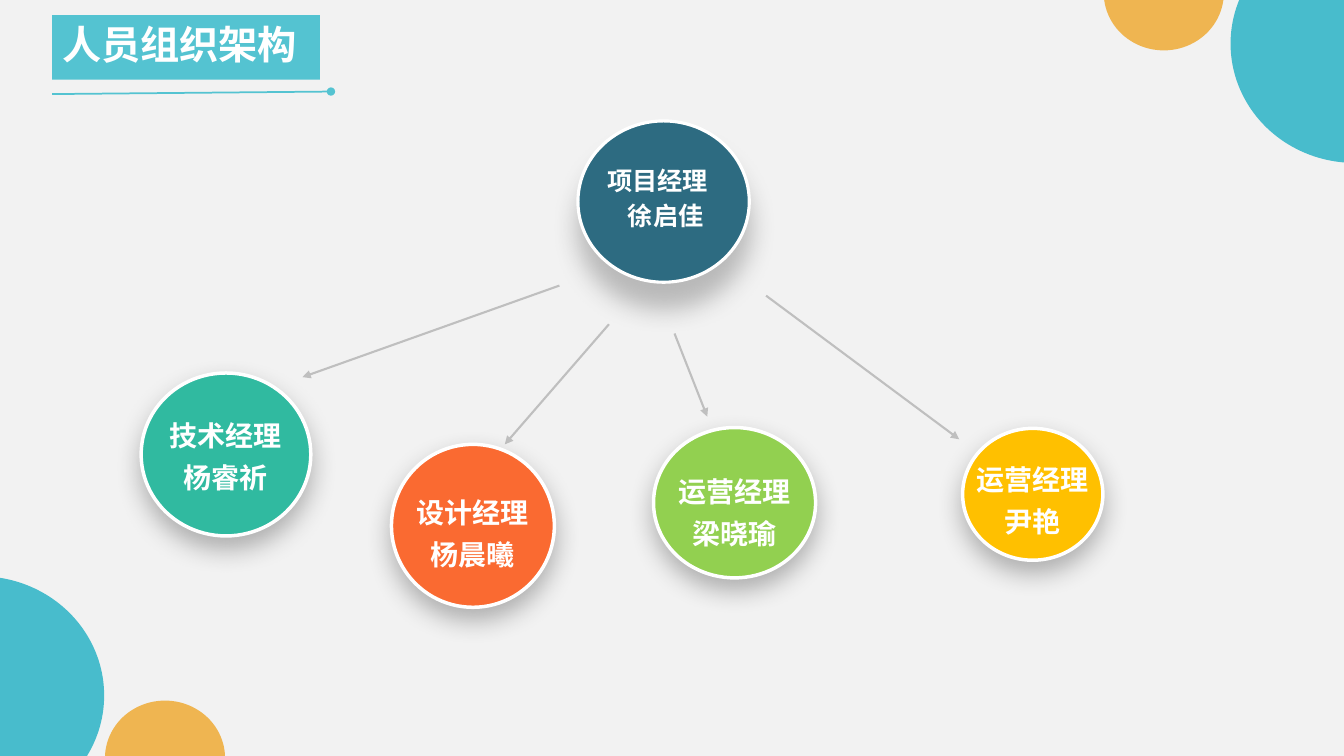
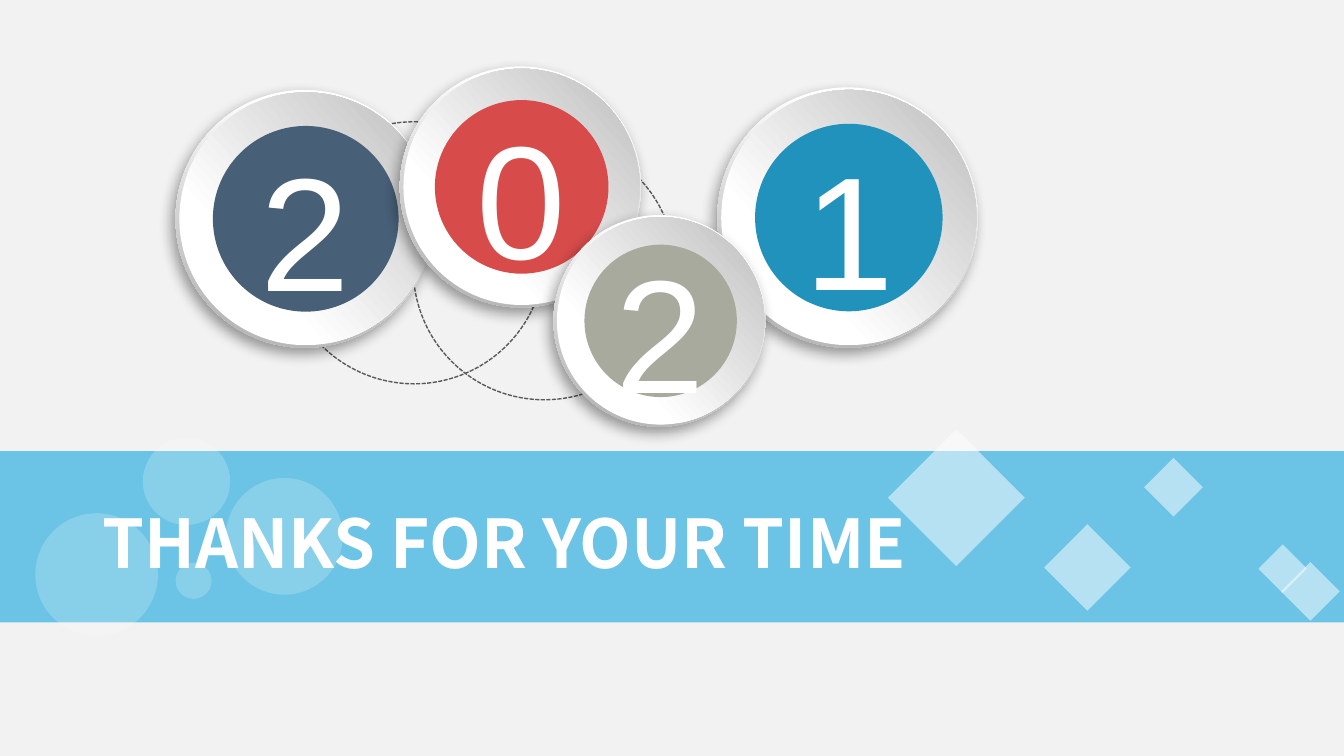
import dataclasses

import lxml.etree
import pptx
import pptx.dml.color
import pptx.enum.dml
import pptx.enum.shapes
import pptx.enum.text
import pptx.oxml.ns
import pptx.util

SHAPES = pptx.enum.shapes.MSO_SHAPE
ALIGN = pptx.enum.text.PP_ALIGN
ANCHOR = pptx.enum.text.MSO_ANCHOR
qn = pptx.oxml.ns.qn

COLUMNS, ROWS = 160, 90
CELL = pptx.util.Inches(13.33) / COLUMNS


@dataclasses.dataclass(frozen=True)
class Theme:
    background: str = "F2F2F2"
    white: str = "FFFFFF"
    banner: str = "4CC1D0"
    underline: str = "54C3D1"
    corner_large: str = "00A6BC"
    corner_small: str = "EF9802"
    arrow: str = "BFBFBF"
    manager: str = "2D6B81"
    technical: str = "30BAA0"
    design: str = "FA6A31"
    operations: str = "92D050"
    operations_second: str = "FFC000"
    person_shadow: str = "262626"
    badge_shadow: str = "000000"
    band: str = "6BC4E5"
    arc: str = "595959"
    rim: str = "B8B8B8"
    navy: str = "475F77"
    red: str = "D74B4B"
    blue: str = "2192BC"
    olive: str = "A7AA9D"
    font: str = "Noto Sans CJK SC"
    digit_font: str = "Arial"
    title_size: float = 28
    closing_size: float = 48
    manager_size: float = 18
    member_size: float = 20
    digit_size: float = 115


THEME = Theme()


@dataclasses.dataclass(frozen=True)
class Box:
    left: float
    top: float
    width: float
    height: float

    def area(self, column, row, width, height):
        return Box(self.left + column, self.top + row, width, height)

    def centred(self, share, shift=0):
        width, height = self.width * share, self.height * share
        return self.area((self.width - width) / 2 + shift, (self.height - height) / 2, width, height)

    def lengths(self):
        return [round(value * CELL) for value in (self.left, self.top, self.width, self.height)]


@dataclasses.dataclass(frozen=True)
class Member:
    role: str
    name: str
    color: str
    place: tuple
    drop: float


def rgb(color):
    return pptx.dml.color.RGBColor.from_string(color)


def set_fill(shape, color, opacity=100):
    shape.fill.solid()
    shape.fill.fore_color.rgb = rgb(color)
    if opacity < 100:
        color_element = shape._element.spPr.find(qn("a:solidFill"))[0]
        lxml.etree.SubElement(color_element, qn("a:alpha"), val=str(opacity * 1000))


def set_gradient(shape, start, end, angle):
    shape.fill.gradient()
    shape.fill.gradient_angle = angle
    for stop, (position, color) in zip(shape.fill.gradient_stops, (start, end)):
        stop.position = position
        stop.color.rgb = rgb(color)


def set_shadow(shape, color, opacity, blur, distance, angle):
    effects = shape._element.spPr.find(qn("a:effectLst"))
    shadow = lxml.etree.SubElement(
        effects, qn("a:outerShdw"), blurRad=str(int(pptx.util.Pt(blur))),
        dist=str(int(pptx.util.Pt(distance))), dir=str(angle * 60000), algn="ctr", rotWithShape="0")
    color_element = lxml.etree.SubElement(shadow, qn("a:srgbClr"), val=color)
    lxml.etree.SubElement(color_element, qn("a:alpha"), val=str(opacity * 1000))


def add_shape(slide, kind, box, color=None, opacity=100):
    shape = slide.shapes.add_shape(kind, *box.lengths())
    shape.shadow.inherit = False
    shape.line.fill.background()
    if color:
        set_fill(shape, color, opacity)
    else:
        shape.fill.background()
    return shape


def add_line(slide, box, start, end, color, width, **ends):
    points = [round(value * CELL) for column, row in (start, end)
              for value in (box.left + column, box.top + row)]
    line = slide.shapes.add_connector(pptx.enum.shapes.MSO_CONNECTOR.STRAIGHT, *points)
    line.line.color.rgb = rgb(color)
    line.line.width = pptx.util.Pt(width)
    outline = line._element.spPr.find(qn("a:ln"))
    for name, kind in ends.items():
        lxml.etree.SubElement(outline, qn("a:" + name), type=kind)
    lxml.etree.SubElement(line._element.spPr, qn("a:effectLst"))


def format_text(text_frame, size, font=THEME.font, bold=True, alignment=ALIGN.CENTER):
    for paragraph in text_frame.paragraphs:
        paragraph.alignment = alignment
        for run in paragraph.runs:
            run.font.size = pptx.util.Pt(size)
            run.font.bold = bold
            run.font.color.rgb = rgb(THEME.white)
            run.font.name = font
            lxml.etree.SubElement(run.font._element, qn("a:ea"), typeface=font)


def centre_text(shape, text, drop):
    text_frame = shape.text_frame
    text_frame.text = text
    text_frame.word_wrap = False
    text_frame.vertical_anchor = ANCHOR.MIDDLE
    text_frame.margin_left = text_frame.margin_right = 0
    text_frame.margin_top = round(max(0, 2 * drop) * CELL)
    text_frame.margin_bottom = round(max(0, -2 * drop) * CELL)
    return text_frame


def place_title(slide, box, text, size):
    title = slide.shapes.title
    title.left, title.top, title.width, title.height = box.lengths()
    text_frame = title.text_frame
    text_frame.text = text
    text_frame.word_wrap = True
    text_frame.auto_size = pptx.enum.text.MSO_AUTO_SIZE.NONE
    text_frame.vertical_anchor = ANCHOR.TOP
    format_text(text_frame, size, alignment=ALIGN.LEFT)
    title._element.getparent().append(title._element)
    return title


def add_banner(slide, box, text):
    title = place_title(slide, box, text, THEME.title_size)
    set_fill(title, THEME.banner, 95)
    add_line(slide, box, (33.2, 9.1), (0, 9.4), THEME.underline, 1.25, headEnd="oval")


def add_corner(slide, box, small_offset):
    add_shape(slide, SHAPES.OVAL, box, THEME.corner_large, 70)
    add_shape(slide, SHAPES.OVAL, box.area(*small_offset, 14.3, 13.7), THEME.corner_small, 67)


def add_person(slide, box, member, size, line_width, shadow):
    disc = add_shape(slide, SHAPES.OVAL, box.area(*member.place), member.color)
    disc.line.color.rgb = rgb(THEME.white)
    disc.line.width = pptx.util.Pt(line_width)
    set_shadow(disc, THEME.person_shadow, *shadow)
    text_frame = centre_text(disc, f"{member.role}\n{member.name}", member.drop)
    format_text(text_frame, size)
    return text_frame


def add_organisation(slide, box):
    arrows = (
        ((75.2, 21.2), (98.2, 38.3)),
        ((50.6, 20), (20, 30.9)),
        ((64.3, 25.7), (68.2, 35.6)),
        ((56.5, 24.6), (44.1, 38.9)),
    )
    members = (
        Member("运营经理", "尹艳", THEME.operations_second, (98.6, 37, 16.7, 15.7), 0.7),
        Member("技术经理", "杨睿祈", THEME.technical, (0.8, 30.4, 20.2, 19.4), 0.2),
        Member("运营经理", "梁晓瑜", THEME.operations, (61.8, 36.9, 19.3, 17.9), 1.1),
        Member("设计经理", "杨晨曦", THEME.design, (30.6, 38.9, 19.4, 19.4), 0.9),
    )
    manager = Member("项目经理", "徐启佳", THEME.manager, (52.8, 0.4, 20.4, 19.2), -0.4)
    for start, end in arrows:
        add_line(slide, box, start, end, THEME.arrow, 1.5, tailEnd="triangle")
    for member in members:
        text_frame = add_person(slide, box, member, THEME.member_size, 2.5, (33, 18, 8, 90))
        text_frame.paragraphs[1].space_before = pptx.util.Pt(6)
    text_frame = add_person(slide, box, manager, THEME.manager_size, 2.25, (28, 18, 18, 90))
    text_frame.word_wrap = True
    text_frame.margin_left = round(0.5 * CELL)
    text_frame.paragraphs[0].alignment = ALIGN.LEFT
    text_frame.paragraphs[1].space_before = pptx.util.Pt(3.5)


def add_badge(slide, box, digit, color):
    rim = add_shape(slide, SHAPES.OVAL, box)
    set_gradient(rim, (0.17, THEME.white), (0.88, THEME.rim), 253)
    set_shadow(rim, THEME.badge_shadow, 39, 10, 5, 123)
    face = add_shape(slide, SHAPES.OVAL, box.centred(0.98, 0.15))
    set_gradient(face, (0.29, THEME.white), (0.98, THEME.arrow), 42)
    disc = add_shape(slide, SHAPES.OVAL, box.centred(0.72, 0.15), color)
    text_frame = centre_text(disc, digit, 1)
    format_text(text_frame, THEME.digit_size, THEME.digit_font, False)


def add_year(slide, box):
    for column, row in ((28.3, 8.5), (12.8, 6.6)):
        arc = add_shape(slide, SHAPES.OVAL, box.area(column, row, 31.2, 31.2))
        arc.line.color.rgb = rgb(THEME.arc)
        arc.line.width = pptx.util.Pt(1)
        arc.line.dash_style = pptx.enum.dml.MSO_LINE.SQUARE_DOT
    badges = (
        ("2", THEME.navy, 0, 2.8, 30.7),
        ("0", THEME.red, 26.7, 0, 28.7),
        ("1", THEME.blue, 64.5, 2.5, 31),
        ("2", THEME.olive, 45, 17.7, 25.2),
    )
    for digit, color, column, row, size in badges:
        add_badge(slide, box.area(column, row, size, size), digit, color)


def add_closing_band(slide, box):
    bubbles = ((4.2, 7.4, 14.6), (26.9, 3.2, 13.9), (17, -1.6, 10.4), (20.9, 13.3, 4.3))
    diamonds = ((105.7, -2.6, 16.3), (124.3, 8.7, 10.3), (136.2, 0.8, 7),
                (152.5, 13.2, 7), (149.8, 11.1, 5.8))
    add_shape(slide, SHAPES.RECTANGLE, box, THEME.band)
    for column, row, size in bubbles:
        add_shape(slide, SHAPES.OVAL, box.area(column, row, size, size), THEME.white, 20)
    place_title(slide, box.area(11, 5.4, 105.7, 10.9), "THANKS FOR YOUR TIME", THEME.closing_size)
    for column, row, size in diamonds:
        add_shape(slide, SHAPES.DIAMOND, box.area(column, row, size, size), THEME.white, 50)


def build_organisation_slide(slide):
    add_organisation(slide, Box(16, 14, 118, 60))
    add_corner(slide, Box(-17.2, 68.6, 29.6, 28.4), (29.7, 14.8))
    add_corner(slide, Box(146.5, -9, 29.6, 28.4), (-15.1, 1.3))
    add_banner(slide, Box(6.2, 1.8, 31.9, 7.7), "人员组织架构")


def build_closing_slide(slide):
    add_closing_band(slide, Box(0, 53.7, COLUMNS, 20.4))
    add_year(slide, Box(20.9, 7.9, 96, 43))


def main():
    presentation = pptx.Presentation()
    presentation.slide_width = round(COLUMNS * CELL)
    presentation.slide_height = round(ROWS * CELL)
    background = presentation.slide_master.background.fill
    background.solid()
    background.fore_color.rgb = rgb(THEME.background)
    title_only = presentation.slide_layouts[5]
    for build in (build_organisation_slide, build_closing_slide):
        build(presentation.slides.add_slide(title_only))
    presentation.save("out.pptx")


if __name__ == "__main__":
    main()
